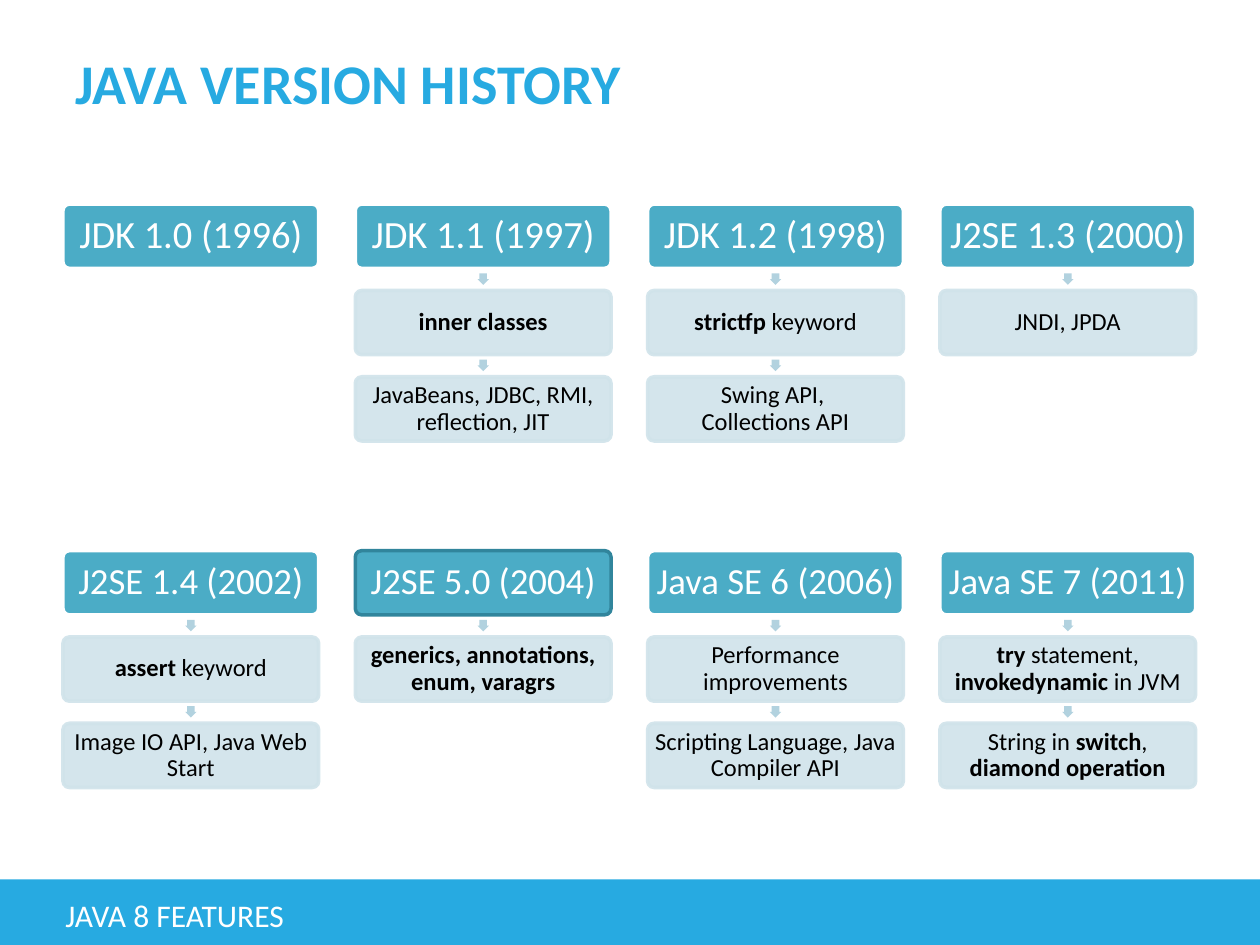
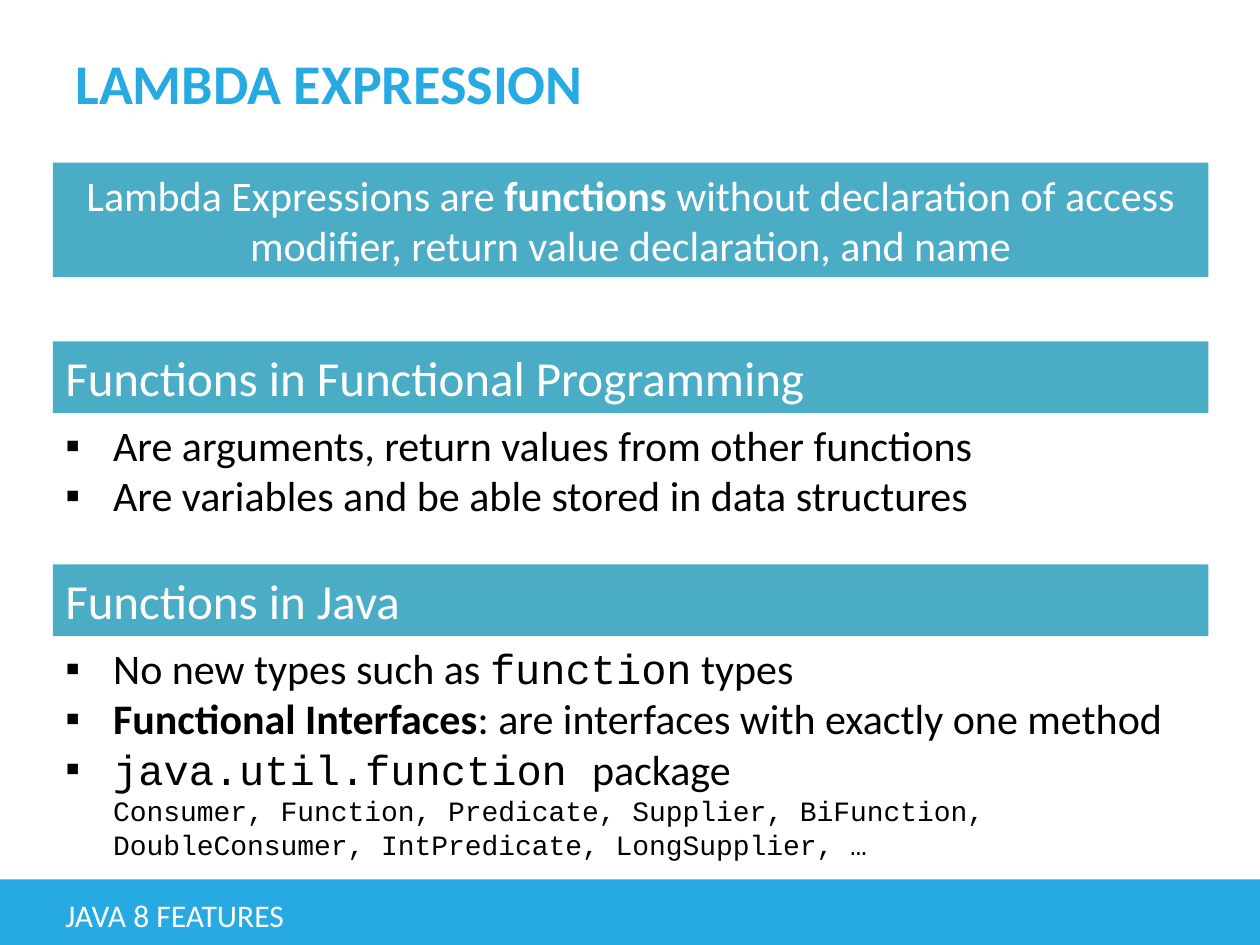
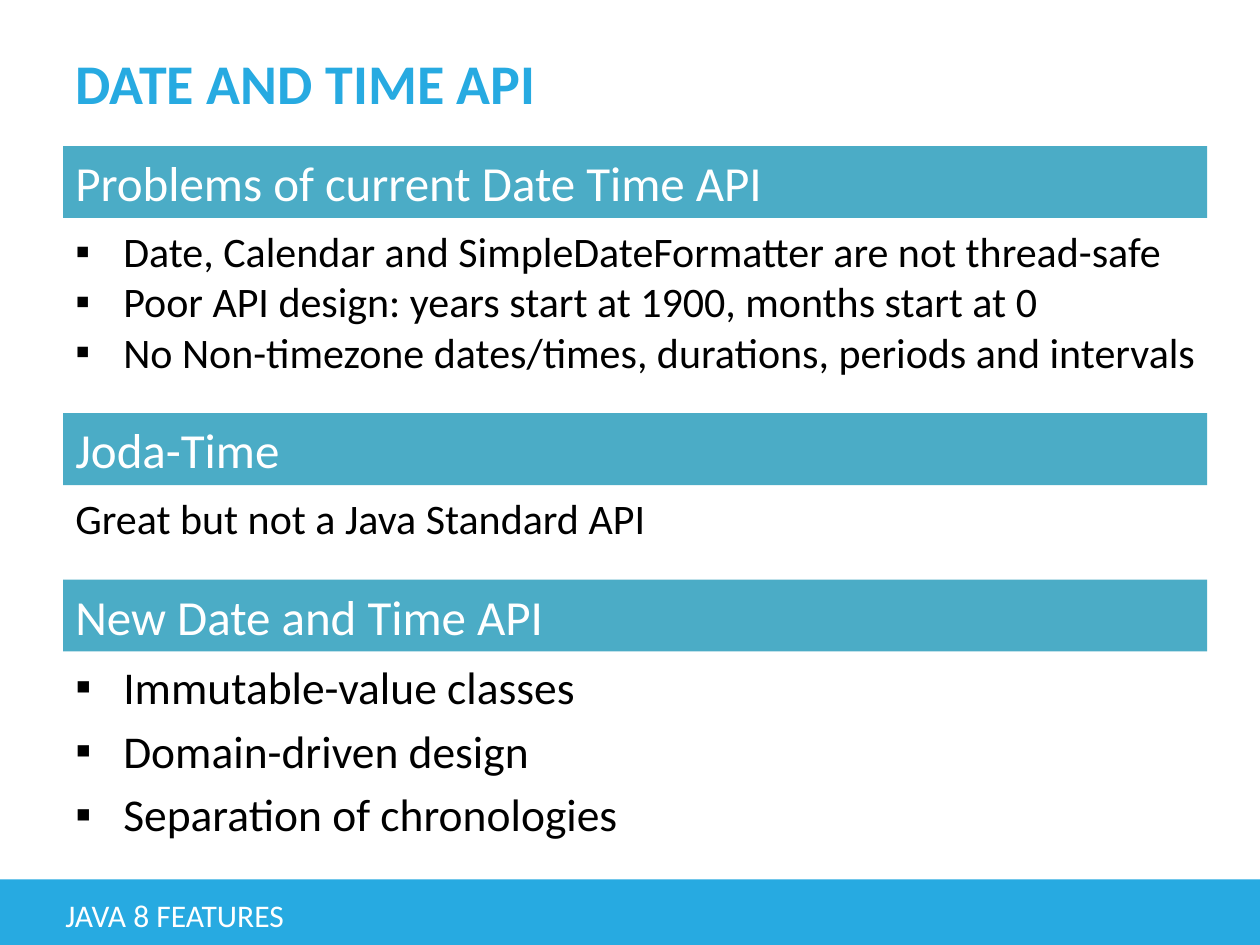
import copy

import lxml.etree
import pptx
import pptx.dml.color
import pptx.enum.shapes
import pptx.enum.text
import pptx.oxml.ns
import pptx.util

RGBColor = pptx.dml.color.RGBColor
SKY = RGBColor(0x27, 0xAA, 0xE1)
TEAL = RGBColor(0x4B, 0xAC, 0xC6)
DEEP_TEAL = RGBColor(0x31, 0x85, 0x9C)
MIST = RGBColor(0xD0, 0xE3, 0xEA)
ARROW_BLUE = RGBColor(0xB2, 0xD2, 0xDF)
WHITE = RGBColor(0xFF, 0xFF, 0xFF)
BLACK = RGBColor(0, 0, 0)

COLUMNS, ROWS = 100, 75
CELL = pptx.util.Inches(0.1)
SHAPES = pptx.enum.shapes.MSO_SHAPE
TOP = pptx.enum.text.MSO_ANCHOR.TOP
MIDDLE = pptx.enum.text.MSO_ANCHOR.MIDDLE
LEFT = pptx.enum.text.PP_ALIGN.LEFT
CENTER = pptx.enum.text.PP_ALIGN.CENTER

BOLD = {"bold": True}
CODE = {"name": "Courier New"}
SMALL_CODE = {"name": "Courier New", "size": pptx.util.Pt(16)}
BREAK = ("\n", {})

CARD_WIDTH, CARD_HEIGHT = 20.3, 5.1
CARD_PITCH_X, CARD_PITCH_Y = 23.2, 6.85
HEADING_HEIGHT = 5.7

VERSION_ROWS = [
    (16.2, 22, [
        ["JDK 1.0 (1996)"],
        ["JDK 1.1 (1997)", [("inner classes", BOLD)],
         "JavaBeans, JDBC, RMI, reflection, JIT"],
        ["JDK 1.2 (1998)", [("strictfp", BOLD), (" keyword", {})],
         [("Swing API, ", {}), BREAK, ("Collections API", {})]],
        ["J2SE 1.3 (2000)", "JNDI, JPDA"],
    ]),
    (43.7, 21, [
        ["J2SE 1.4 (2002)", [("assert", BOLD), (" keyword", {})],
         "Image IO API, Java Web Start"],
        ["J2SE 5.0 (2004)", [("generics, annotations, enum, varagrs", BOLD)]],
        ["Java SE 6 (2006)", "Performance improvements",
         "Scripting Language, Java Compiler API"],
        ["Java SE 7 (2011)",
         [("try", BOLD), (" statement, ", {}), ("invokedynamic", BOLD), (" in JVM", {})],
         [("String in", {}), (" switch", BOLD), (", ", {}), ("diamond operation", BOLD)]],
    ]),
]
HIGHLIGHTED_VERSION = "J2SE 5.0 (2004)"


def apply_format(target, values):
    for attribute, value in values.items():
        setattr(target, attribute, value)


class Deck:
    font = "Calibri"
    footer = "JAVA 8 FEATURES"

    def __init__(self):
        self.presentation = pptx.Presentation()
        apply_format(self.presentation, {
            "slide_width": COLUMNS * CELL, "slide_height": ROWS * CELL})
        self.slide = None

    def start(self, title):
        self.slide = self.presentation.slides.add_slide(self.presentation.slide_layouts[6])
        self.block(SHAPES.RECTANGLE, (0, 69.8, COLUMNS, 5.2), SKY)
        self.text((5, 3, 68.5, 7), [[(title, BOLD)]], 32, SKY, anchor=MIDDLE)
        self.text((4.2, 70.2, 61, 4.8), [self.footer], 18, WHITE, anchor=MIDDLE)

    def place(self, area):
        return [round(length * CELL) for length in area]

    def block(self, preset, area, fill, line=None, opacity=None):
        block = self.slide.shapes.add_shape(preset, *self.place(area))
        block.shadow.inherit = False
        block.fill.solid()
        block.fill.fore_color.rgb = fill
        if line is None:
            block.line.fill.background()
        else:
            block.line.color.rgb = line
            block.line.width = pptx.util.Pt(2)
        if opacity:
            for color in block._element.spPr.iter(pptx.oxml.ns.qn("a:srgbClr")):
                lxml.etree.SubElement(
                    color, pptx.oxml.ns.qn("a:alpha"), val=str(opacity * 1000))
        return block

    def fill_text(self, frame, paragraphs, size, color, anchor=TOP, align=LEFT,
                  inset=None, bullets=False, spacing=None):
        apply_format(frame, {"word_wrap": True, "vertical_anchor": anchor})
        if inset is not None:
            sides = ("margin_left", "margin_top", "margin_right", "margin_bottom")
            apply_format(frame, dict.fromkeys(sides, pptx.util.Inches(inset)))
        for index, content in enumerate(paragraphs):
            paragraph = frame.add_paragraph() if index else frame.paragraphs[0]
            apply_format(paragraph, {"alignment": align, **(spacing or {})})
            if bullets:
                self.bullet(paragraph)
            runs = [(content, {})] if isinstance(content, str) else content
            for words, style in runs:
                if (words, style) == BREAK:
                    previous = paragraph.runs[-1]._r.rPr
                    paragraph.add_line_break()
                    paragraph._p[-1].append(copy.deepcopy(previous))
                    continue
                run = paragraph.add_run()
                run.text = words
                apply_format(run.font, {
                    "name": self.font, "size": pptx.util.Pt(size), "bold": False, **style})
                run.font.color.rgb = color

    def bullet(self, paragraph):
        properties = paragraph._p.get_or_add_pPr()
        indent = pptx.util.Inches(0.38)
        properties.set("marL", str(indent))
        properties.set("indent", str(-indent))
        for tag, values in (("a:buFont", {"typeface": "Arial"}), ("a:buChar", {"char": "▪"})):
            lxml.etree.SubElement(properties, pptx.oxml.ns.qn(tag), values)

    def text(self, area, paragraphs, size, color=BLACK, **layout):
        box = self.slide.shapes.add_textbox(*self.place(area))
        self.fill_text(box.text_frame, paragraphs, size, color, **layout)

    def banner(self, area, content, size=28, align=LEFT):
        banner = self.block(SHAPES.RECTANGLE, area, TEAL)
        self.fill_text(banner.text_frame, [content], size, WHITE, anchor=MIDDLE, align=align)

    def card(self, left, top, content, size, color, inset, **look):
        card = self.block(
            SHAPES.ROUNDED_RECTANGLE, (left, top, CARD_WIDTH, CARD_HEIGHT), **look)
        card.adjustments[0] = 0.1
        self.fill_text(card.text_frame, [content], size, color, anchor=MIDDLE, align=CENTER,
                       inset=inset, spacing={"line_spacing": 0.9})

    def arrow(self, center, top):
        side = 0.9
        arrow = self.block(
            SHAPES.DOWN_ARROW, (center - side / 2, top, side, side), ARROW_BLUE)
        arrow.adjustments[0] = 0.667
        arrow.adjustments[1] = 0.5

    def version(self, left, top, name, features, size):
        outline = DEEP_TEAL if name == HIGHLIGHTED_VERSION else WHITE
        self.card(left, top, name, size, WHITE, 0.03, fill=TEAL, line=outline)
        for step, feature in enumerate(features, 1):
            feature_top = top + step * CARD_PITCH_Y
            self.arrow(left + CARD_WIDTH / 2, feature_top - 1.35)
            self.card(left, feature_top, feature, 14, BLACK, 0.02,
                      fill=MIST, line=MIST, opacity=90)


def version_history(deck):
    deck.start("JAVA VERSION HISTORY")
    for top, size, versions in VERSION_ROWS:
        for column, (name, *features) in enumerate(versions):
            deck.version(5 + column * CARD_PITCH_X, top, name, features, size)


def lambda_expression(deck):
    left, width = 4.2, 91.7
    deck.start("LAMBDA EXPRESSION")
    deck.banner((left, 12.9, width, 9.1), [
        ("Lambda Expressions are ", {}), ("functions ", BOLD),
        ("without declaration of access modifier, return value declaration, and name", {}),
    ], size=24, align=CENTER)
    sections = [
        (27.1, "Functions in Functional Programming", 9.1, [
            "Are arguments, return values from other functions",
            "Are variables and be able stored in data structures",
        ]),
        (44.8, "Functions in Java", 19.2, [
            [("No new types such as ", {}), ("function", CODE), (" types", {})],
            [("Functional Interfaces", BOLD),
             (": are interfaces with exactly one method", {})],
            [("java.util.function ", CODE), ("package", {}), BREAK,
             ("Consumer, Function, Predicate, Supplier, BiFunction, "
              "DoubleConsumer, IntPredicate, LongSupplier, …", SMALL_CODE)],
        ]),
    ]
    for top, heading, height, points in sections:
        deck.banner((left, top, width, HEADING_HEIGHT), heading)
        deck.text((left, top + HEADING_HEIGHT, width, height), points, 24, bullets=True)


def date_and_time(deck):
    left, width = 5, 90.8
    deck.start("DATE AND TIME API")
    sections = [
        (11.6, "Problems of current Date Time API", 91.9, 13.1, 24, [
            "Date, Calendar and SimpleDateFormatter are not thread-safe",
            "Poor API design: years start at 1900, months start at 0",
            "No Non-timezone dates/times, durations, periods and intervals",
        ], {"bullets": True}),
        (32.8, "Joda-Time", width, 4.8, 24, ["Great but not a Java Standard API"], {}),
        (46, "New Date and Time API", width, 16.5, 26, [
            "Immutable-value classes",
            "Domain-driven design",
            "Separation of chronologies",
        ], {"bullets": True, "spacing": {"space_before": pptx.util.Pt(5.2)}}),
    ]
    for top, heading, text_width, height, size, points, layout in sections:
        deck.banner((left, top, width, HEADING_HEIGHT), heading)
        deck.text((left, top + HEADING_HEIGHT + 0.1, text_width, height),
                  points, size, **layout)


def main():
    deck = Deck()
    version_history(deck)
    lambda_expression(deck)
    date_and_time(deck)
    deck.presentation.save("out.pptx")


if __name__ == "__main__":
    main()
